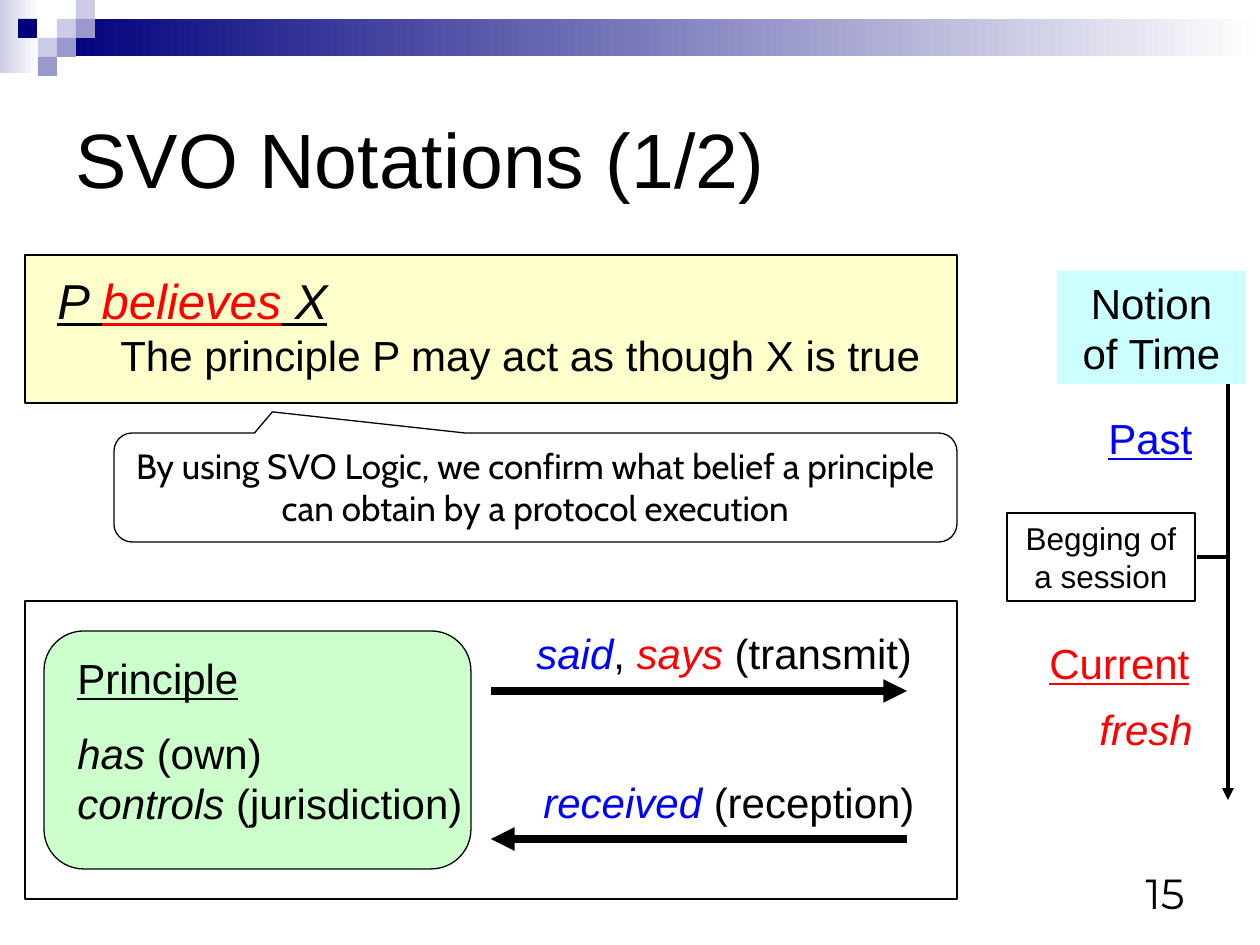
from pptx import Presentation
from pptx import util as u
from pptx.dml.color import RGBColor
from pptx.enum import shapes, text
from pptx.oxml.ns import qn
from lxml import etree

SCALE = 914400 / 126

BLACK = RGBColor(0, 0, 0)
WHITE = RGBColor(255, 255, 255)
RED = RGBColor(255, 0, 0)
BLUE = RGBColor(0, 0, 255)
NAVY = RGBColor(0, 0, 0x7D)
LAVENDER = RGBColor(0xCC, 0xCC, 0xE6)
VIOLET = RGBColor(0x99, 0x99, 0xCC)
GREEN = RGBColor(0xCC, 0xFF, 0xCC)
CYAN = RGBColor(0xCC, 0xFF, 0xFF)
CREAM = RGBColor(0xFF, 0xFF, 0xCC)

LEFT, CENTER, RIGHT = text.PP_ALIGN.LEFT, text.PP_ALIGN.CENTER, text.PP_ALIGN.RIGHT
RECT = shapes.MSO_SHAPE.RECTANGLE
ROUND = shapes.MSO_SHAPE.ROUNDED_RECTANGLE
CALLOUT = shapes.MSO_SHAPE.ROUNDED_RECTANGULAR_CALLOUT

TITLE = "SVO Notations (1/2)"

# Header: gradient bands, then mosaic squares
BANDS = [((0, 0, 39, 73), LAVENDER), ((57, 19, 1203, 37), NAVY)]
SQUARE = 19
SQUARES = [(57, 19, LAVENDER), (76, 0, LAVENDER), (76, 19, VIOLET), (38, 38, LAVENDER),
           (18, 19, NAVY), (57, 38, VIOLET), (38, 57, VIOLET)]

# Each paragraph is a list of runs: (words, format)
PRINCIPLE_PARTS = [
    dict(at=(25, 601, 932, 298), outlined=True),
    dict(at=(44, 631, 427, 238), kind=ROUND, adjust=[0.167], fill=GREEN, outlined=True),
    dict(at=(524, 621, 402, 63), wrap=False, paras=[[
        ("said", dict(color=BLUE, italic=True)), (", ", {}),
        ("says ", dict(color=RED, italic=True)), ("(transmit)", {})]]),
    dict(at=(531, 770, 398, 63), wrap=False, paras=[[
        ("received ", dict(color=BLUE, italic=True)), ("(reception)", {})]]),
    dict(at=(65, 721, 412, 113), wrap=False, paras=[
        [("has ", dict(italic=True)), ("(own)", {})],
        [("controls ", dict(italic=True)), ("(jurisdiction)", {})]]),
    dict(at=(65, 646, 188, 63), wrap=False, paras=[[("Principle", dict(underline=True))]]),
]
TIME_PARTS = [
    dict(at=(1007, 513, 188, 88), outlined=True, align=CENTER,
         paras=[[("Begging of a session", dict(size=18))]]),
    dict(at=(1037, 631, 166, 63), wrap=False,
         paras=[[("Current", dict(color=RED, underline=True))]]),
    dict(at=(1096, 406, 112, 63), wrap=False,
         paras=[[("Past", dict(color=BLUE, underline=True))]]),
    dict(at=(1087, 697, 122, 63), wrap=False,
         paras=[[("fresh", dict(color=RED, italic=True))]]),
    dict(at=(1057, 271, 189, 113), fill=CYAN, align=CENTER, paras=[[("Notion of Time", {})]]),
]
HEADING = dict(size=28, italic=True, underline=True)
BELIEF_PARTS = [
    dict(at=(25, 255, 932, 148), fill=CREAM, outlined=True),
    dict(at=(45, 264, 942, 122), paras=[
        [("P ", HEADING), ("believes", dict(HEADING, color=RED)), (" X", HEADING)],
        [("The principle P may act as though X is true", {})]], levels=[0, 1]),
    dict(at=(114, 433, 843, 109), kind=CALLOUT, adjust=[-0.312, -0.694, 0.167],
         outlined=True, align=CENTER, paras=[[
             ("By using SVO Logic, we confirm what belief a principle "
              "can obtain by a protocol execution", dict(size=20, name="Cabin"))]]),
    dict(at=(903, 861, 294, 63), align=RIGHT, anchor=text.MSO_ANCHOR.BOTTOM,
         paras=[[("15", dict(name="Montserrat"))]]),
]

# Lines: start, end, width in points, arrowhead
MESSAGE_LINES = [((491, 691), (907, 691), 4.5, "tailEnd"),
                 ((491, 839), (907, 839), 4.5, "headEnd")]
TIME_LINES = [((1228, 334), (1228, 800), 2.25, "tailEnd"),
              ((1197, 557), (1228, 557), 2.25, None)]


def px(*values):
    """Turn pixels into EMU."""
    return [u.Emu(round(value * SCALE)) for value in values]


def write(frame, paras, align=LEFT, anchor=text.MSO_ANCHOR.TOP, wrap=True, levels=None):
    """Fill a text frame with formatted paragraphs."""
    frame.word_wrap, frame.vertical_anchor = wrap, anchor
    if not wrap:
        frame.auto_size = text.MSO_AUTO_SIZE.SHAPE_TO_FIT_TEXT
    for index, spans in enumerate(paras):
        para = frame.paragraphs[0] if index == 0 else frame.add_paragraph()
        para.alignment = align
        para.level = levels[index] if levels else 0
        for words, changes in spans:
            span = para.add_run()
            span.text = words
            for key, value in (dict(size=24, name="Arial", color=BLACK) | changes).items():
                if key == "color":
                    span.font.color.rgb = value
                else:
                    setattr(span.font, key, u.Pt(value) if key == "size" else value)


def add_part(slide, at, kind=RECT, adjust=(), fill=None, outlined=False, paras=(), **layout):
    """Add a shape, or a text box when it has neither fill nor outline."""
    if fill is None and not outlined:
        box = slide.shapes.add_textbox(*px(*at))
    else:
        box = slide.shapes.add_shape(kind, *px(*at))
        box.shadow.inherit = False
        for index, value in enumerate(adjust):
            box.adjustments[index] = value
        if fill is None:
            box.fill.background()
        else:
            box.fill.solid()
            box.fill.fore_color.rgb = fill
        if outlined:
            box.line.color.rgb, box.line.width = BLACK, u.Pt(0.74)
        else:
            box.line.fill.background()
    if paras:
        write(box.text_frame, paras, **layout)
    return box


def add_band(slide, at, color):
    """Add a band that fades to white on the right."""
    band = add_part(slide, at, fill=color)
    band.fill.gradient()
    band.fill.gradient_angle = 0
    for stop, place, shade in zip(band.fill.gradient_stops, (0, 1), (color, WHITE)):
        stop.position, stop.color.rgb = place, shade


def add_line(slide, start, end, width, head):
    """Add a black line with an optional arrowhead."""
    line = slide.shapes.add_connector(shapes.MSO_CONNECTOR.STRAIGHT, *px(*start, *end))
    line.line.color.rgb, line.line.width = BLACK, u.Pt(width)
    properties = line._element.spPr
    if head:
        etree.SubElement(properties.find(qn("a:ln")), qn("a:" + head), type="triangle")
    etree.SubElement(properties, qn("a:effectLst"))


deck = Presentation()
deck.slide_width, deck.slide_height = px(1260, 945)
page = deck.slides.add_slide(deck.slide_layouts[5])

for at, color in BANDS:
    add_band(page, at, color)
for left, top, color in SQUARES:
    add_part(page, (left, top, SQUARE, SQUARE), fill=color)

title = page.shapes.title
title.left, title.top, title.width, title.height = px(63, 63, 1134, 189)
write(title.text_frame, [[(TITLE, dict(size=44))]], anchor=text.MSO_ANCHOR.MIDDLE)

for part in PRINCIPLE_PARTS:
    add_part(page, **part)
for line in MESSAGE_LINES + TIME_LINES:
    add_line(page, *line)
for part in TIME_PARTS + BELIEF_PARTS:
    add_part(page, **part)

deck.save("out.pptx")
